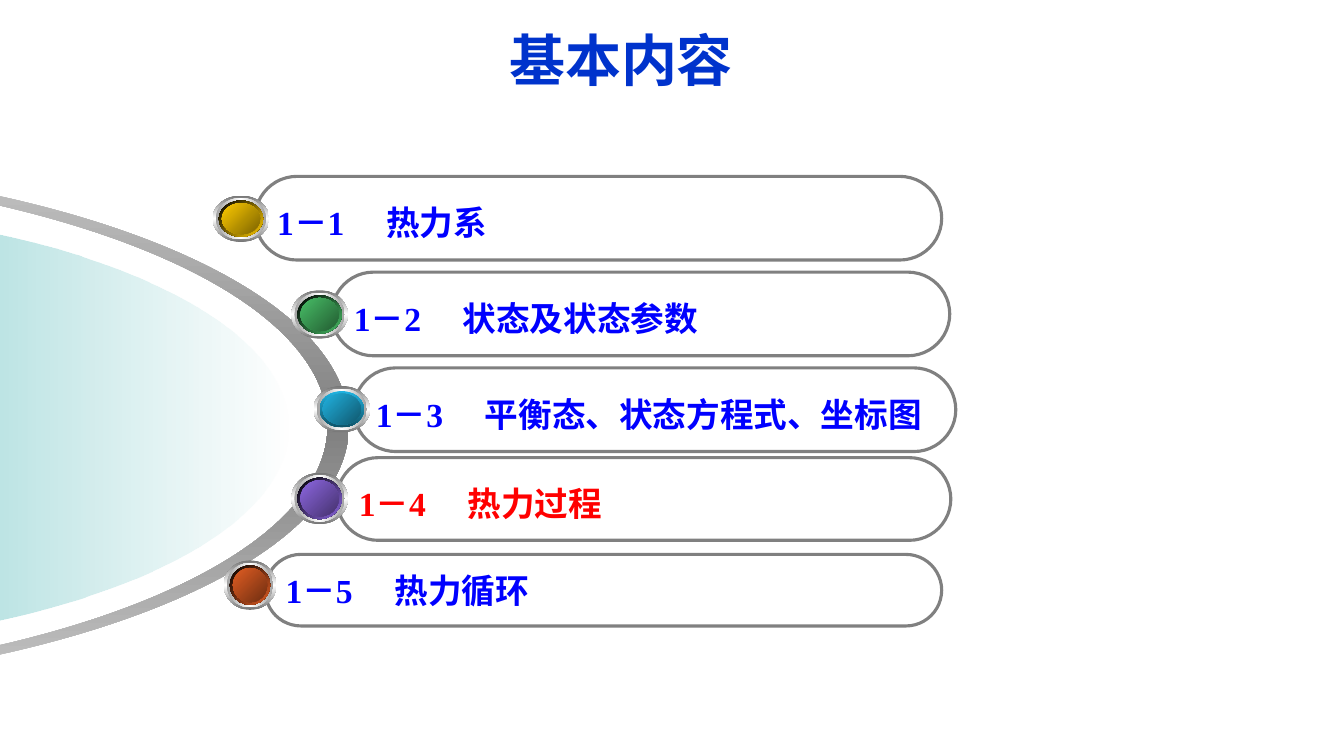
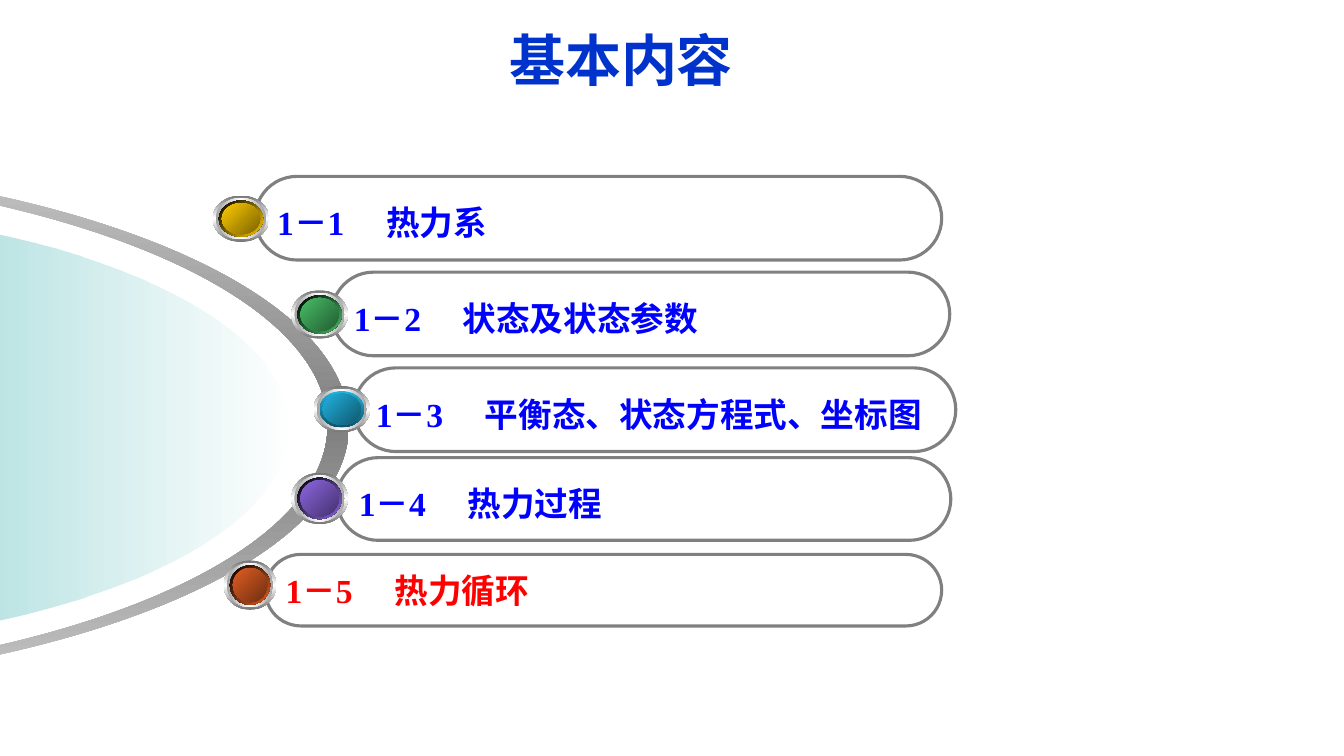
from lxml.etree import SubElement
from pptx import Presentation
from pptx.dml.color import RGBColor
from pptx.enum.shapes import MSO_SHAPE
from pptx.enum.text import MSO_ANCHOR, PP_ALIGN
from pptx.oxml.ns import qn
from pptx.util import Inches, Pt

BLUE, RED, GREY, TITLE = "0000FF", "FF0000", "808080", "0033CC"

# start, then segments: three points make a curve, one makes a line
RING = (-3.49, 1.66), [
    [(0.25, 1.68), (3.25, 2.82), (3.25, 4.22)],
    [(3.25, 5.62), (0.25, 6.76), (-3.49, 6.78)],
    [(-3.49, 6.86)],
    [(0.37, 6.84), (3.46, 5.66), (3.46, 4.22)],
    [(3.46, 2.78), (0.37, 1.6), (-3.49, 1.58)],
]
DOME = (-2.86, 2.03), [
    [(0.3, 2.03), (2.86, 3.02), (2.86, 4.24)],
    [(2.86, 5.46), (0.3, 6.44), (-2.86, 6.44)],
]

# label, pill (left, top, width, height), orb (left, top, width, height),
# orb colour, dark side, rim colours, rim angle
TOPICS = [
    ("1－1\t热力系", (2.53, 1.75, 6.81, 0.83), (2.11, 1.94, 0.56, 0.46),
     "FFCC00", "7C6300", ["000000", "FFCC00"], 45),
    ("1－2\t状态及状态参数", (3.29, 2.7, 6.13, 0.83), (2.89, 2.88, 0.56, 0.48),
     "48BE67", "235C32", ["000000", "48BE67"], 45),
    ("1－3\t平衡态、状态方程式、坐标图", (3.51, 3.65, 5.97, 0.83), (3.11, 3.83, 0.56, 0.46),
     "21B3E1", "10576D", ["21B3E1", "0F5368"], 90),
    ("1－4\t热力过程", (3.34, 4.54, 6.09, 0.82), (2.89, 4.69, 0.56, 0.51),
     "8D67E1", "45326D", ["000000", "8D67E1"], 45),
    ("1－5\t热力循环", (2.63, 5.5, 6.71, 0.71), (2.22, 5.56, 0.52, 0.49),
     "E35E23", "6E2E11", ["000000", "E35E23"], 45),
]


def shade(shape, colors, angle, alphas=None):
    """Fill with evenly spaced gradient stops, without line or shadow."""
    shape.shadow.inherit = False
    shape.line.fill.background()
    shape.fill.gradient()
    grad = shape.element.spPr.find(qn("a:gradFill"))
    stops = grad.find(qn("a:gsLst"))
    for stop in list(stops):
        stops.remove(stop)
    for i, color in enumerate(colors):
        stop = SubElement(stops, qn("a:gs"), pos=str(100000 * i // (len(colors) - 1)))
        tone = SubElement(stop, qn("a:srgbClr"), val=color)
        if alphas:
            SubElement(tone, qn("a:alpha"), val=str(alphas[i] * 1000))
    grad.find(qn("a:lin")).set("ang", str(angle * 60000))


def curve(shapes, start, parts):
    """Draw a closed outline of Bézier curves and lines."""
    pen = shapes.build_freeform(*map(Inches, start))
    pen.add_line_segments([(Inches(x), Inches(y)) for part in parts for x, y in part])
    shape = pen.convert_to_shape()
    trace = next(shape.element.iter(qn("a:path")))
    lines = iter(trace.findall(qn("a:lnTo")))
    for part in parts:
        first, *others = [next(lines) for _ in part]
        if others:
            first.tag = qn("a:cubicBezTo")
        for line in others:
            first.append(line[0])
            trace.remove(line)
    return shape


deck = Presentation()
deck.slide_width, deck.slide_height = Inches(13.33), Inches(7.5)

for current in (3, 4):
    shapes = deck.slides.add_slide(deck.slide_layouts[6]).shapes

    # Ring and dome at the left edge
    shade(curve(shapes, *RING), ["C5C5C5", GREY, "C5C5C5"], 90)
    shade(curve(shapes, *DOME), ["009999", "FFFFFF"], 0, [56, 48])

    # Topic pills, the last one drawn first
    for i, (label, place, *_) in reversed(list(enumerate(TOPICS))):
        pill = shapes.add_shape(MSO_SHAPE.ROUNDED_RECTANGLE, *map(Inches, place))
        pill.adjustments[0] = 0.5
        pill.shadow.inherit = False
        pill.fill.background()
        pill.line.color.rgb = RGBColor.from_string(GREY)
        pill.line.width = Pt(2.25)
        frame = pill.text_frame
        frame.word_wrap = True
        frame.vertical_anchor = MSO_ANCHOR.MIDDLE
        para = frame.paragraphs[0]
        para.text = label
        para.alignment = PP_ALIGN.LEFT
        tabs = SubElement(para._p.get_or_add_pPr(), qn("a:tabLst"))
        SubElement(tabs, qn("a:tab"), pos=str(Inches(1.08)), algn="l")
        if i < 4:
            para.line_spacing = 1.2
        font = para.font
        font.name, font.size, font.bold = "Times New Roman", Pt(24), True
        font.color.rgb = RGBColor.from_string(RED if i == current else BLUE)

    # Orbs, each of four nested ellipses
    for _, _, (left, top, wide, high), light, dark, rim, tilt in TOPICS:
        orb = shapes.add_group_shape().shapes
        layers = [
            (["767676", "FFFFFF", "767676"], 90),
            (["A2A2A2", "FFFFFF", "A2A2A2"], 0),
            (rim, tilt),
            ([light, dark], 45),
        ]
        for i, (colors, angle) in enumerate(layers):
            dx, dy = 0.03 * i, 0.025 * i
            place = left + dx, top + dy, wide - 2 * dx, high - 2 * dy
            shade(orb.add_shape(MSO_SHAPE.OVAL, *map(Inches, place)), colors, angle)

    # Title
    box = shapes.add_textbox(Inches(1.86), Inches(0.2), Inches(8.6), Inches(0.77))
    frame = box.text_frame
    frame.word_wrap = True
    frame.vertical_anchor = MSO_ANCHOR.BOTTOM
    para = frame.paragraphs[0]
    para.text = "基本内容"
    para.alignment = PP_ALIGN.CENTER
    font = para.font
    font.name, font.size, font.bold = "Arial", Pt(40), True
    font.color.rgb = RGBColor.from_string(TITLE)

deck.save("out.pptx")
